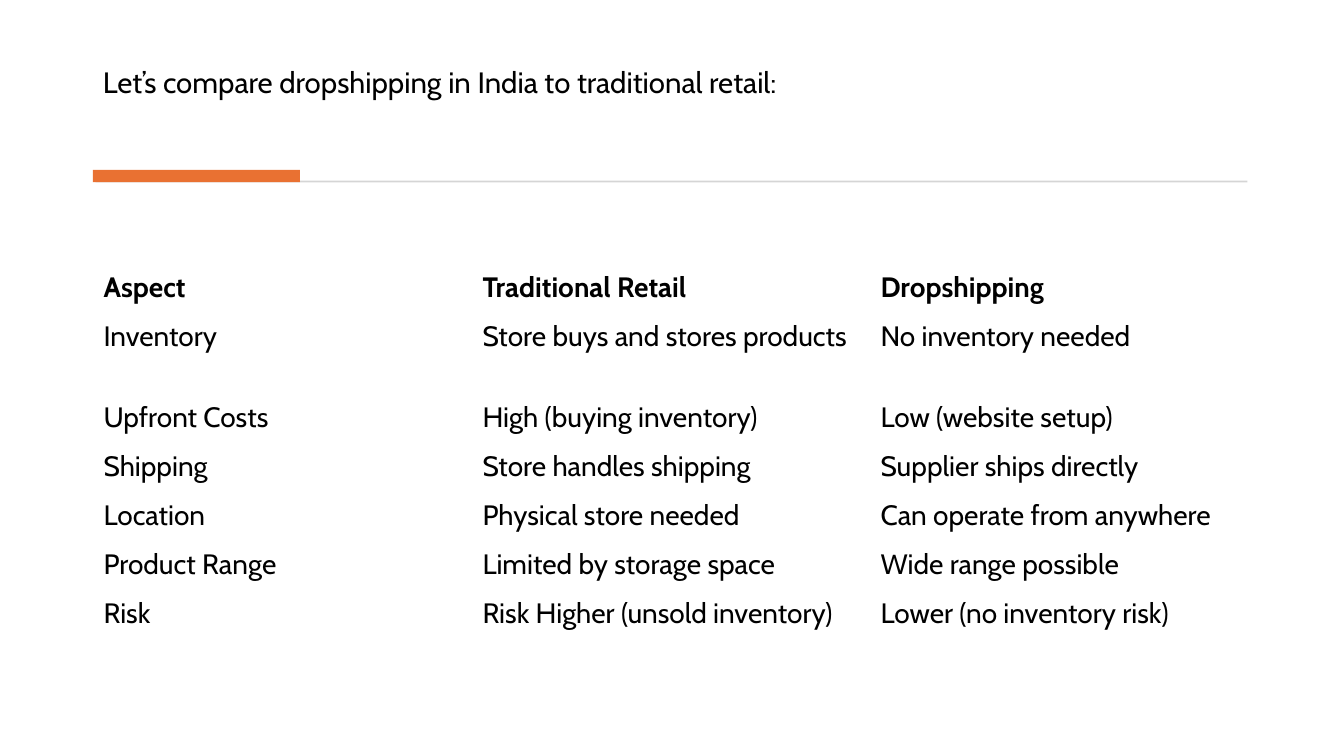
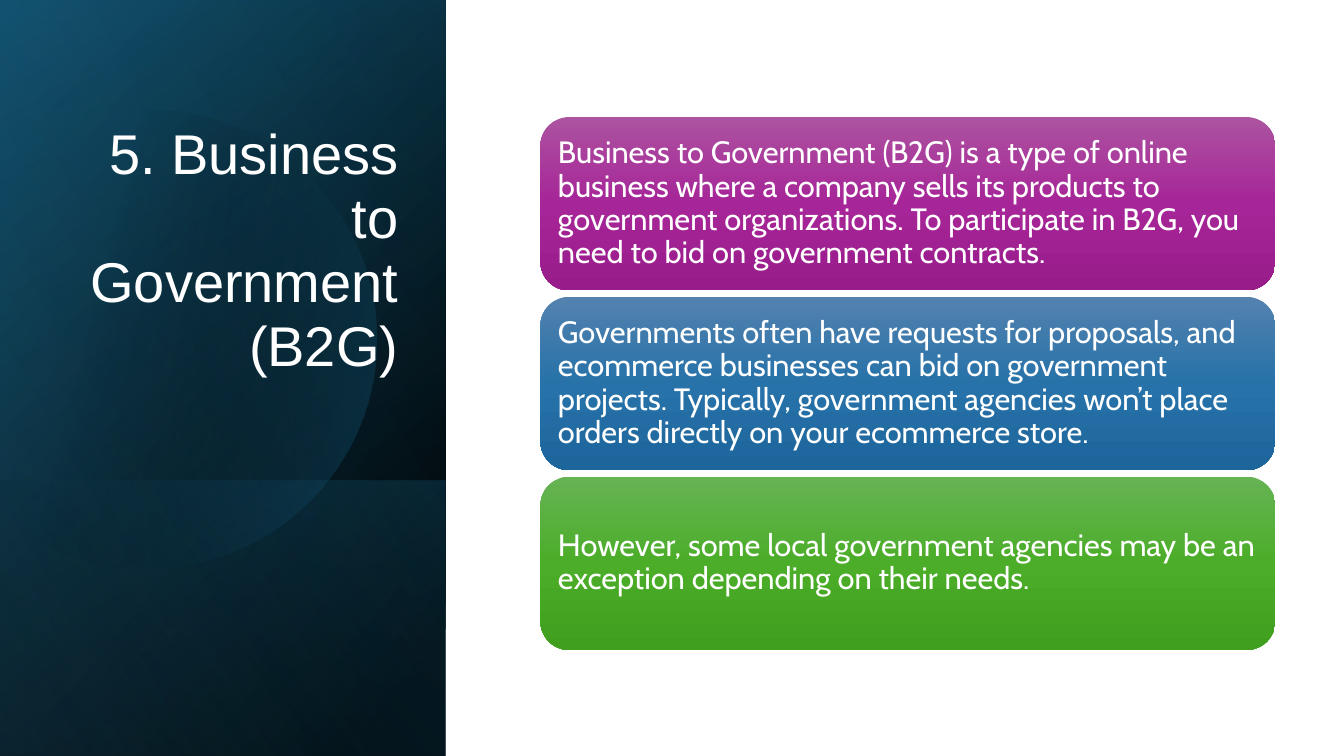
import math
from dataclasses import dataclass

from lxml import etree
from pptx import Presentation
from pptx.dml.color import RGBColor
from pptx.enum.shapes import MSO_SHAPE
from pptx.enum.text import MSO_ANCHOR, MSO_AUTO_SIZE, PP_ALIGN
from pptx.oxml.ns import qn
from pptx.util import Cm, Pt

RECTANGLE = MSO_SHAPE.RECTANGLE
ROUNDED = MSO_SHAPE.ROUNDED_RECTANGLE
MIDDLE, BOTTOM = MSO_ANCHOR.MIDDLE, MSO_ANCHOR.BOTTOM
LEFT, RIGHT = PP_ALIGN.LEFT, PP_ALIGN.RIGHT
NO_AUTOFIT = MSO_AUTO_SIZE.NONE
TITLE_ONLY = 5


@dataclass(frozen=True)
class Theme:
    body_font: str = "Cabin"
    display_font: str = "Arial"
    text: str = "000000"
    light: str = "FFFFFF"
    rule: str = "D5D5D5"
    accent: str = "E97132"
    deep: str = "104862"
    teal: str = "156082"
    sky: str = "46B1E1"
    black: str = "000000"
    lead_size: float = 21
    table_size: float = 20
    card_size: float = 22
    display_size: float = 40


THEME = Theme()


@dataclass(frozen=True)
class Box:
    left: float
    top: float
    width: float
    height: float

    def lengths(self) -> tuple:
        return Cm(self.left), Cm(self.top), Cm(self.width), Cm(self.height)


@dataclass(frozen=True)
class Stop:
    position: int
    color: str
    opacity: int = 100


@dataclass(frozen=True)
class Gradient:
    angle: int
    stops: tuple[Stop, ...]


@dataclass(frozen=True)
class PanelLayer:
    box: Box
    gradient: Gradient


@dataclass(frozen=True)
class TextStyle:
    font: str
    size: float
    color: str
    bold: bool = False
    align: int = LEFT
    spacing: float = 1.0


@dataclass(frozen=True)
class Card:
    text: str
    colors: tuple[str, str, str]


SLIDE_WIDTH, SLIDE_HEIGHT = 33.87, 19.05
LEAD_STYLE = TextStyle(THEME.body_font, THEME.lead_size, THEME.text, spacing=0.9)
DISPLAY_STYLE = TextStyle(THEME.display_font, THEME.display_size, THEME.light,
                          align=RIGHT, spacing=0.95)
HEADER_STYLE = TextStyle(THEME.body_font, THEME.table_size, THEME.text, bold=True)
CELL_STYLE = TextStyle(THEME.body_font, THEME.table_size, THEME.text)
CARD_STYLE = TextStyle(THEME.body_font, THEME.card_size, THEME.light, spacing=0.9)

COMPARISON = (
    ("Aspect", "Traditional Retail", "Dropshipping"),
    ("Inventory", "Store buys and stores products", "No inventory needed"),
    ("Upfront Costs", "High (buying inventory)", "Low (website setup)"),
    ("Shipping", "Store handles shipping", "Supplier ships directly"),
    ("Location", "Physical store needed", "Can operate from anywhere"),
    ("Product Range", "Limited by storage space", "Wide range possible"),
    ("Risk", "Risk Higher (unsold inventory)", "Lower (no inventory risk)"),
)
COLUMN_WIDTHS = (9.55, 10.03, 9.63)
ROW_HEIGHT, INVENTORY_ROW_HEIGHT = 1.23, 2.06

PANEL = Box(0, 0, 11.23, SLIDE_HEIGHT)
PANEL_FOOT = Box(0, 12.1, PANEL.width, SLIDE_HEIGHT - 12.1)
LAYERS_BELOW_DISC = (
    PanelLayer(PANEL, Gradient(220, (Stop(8, THEME.black), Stop(100, THEME.deep)))),
    PanelLayer(PANEL, Gradient(240, (Stop(0, THEME.black, 0), Stop(99, THEME.teal, 46)))),
    PanelLayer(PANEL_FOOT, Gradient(140, (Stop(2, THEME.teal, 29),
                                          Stop(100, THEME.black, 30)))),
)
DISC_GRADIENT = Gradient(14, (Stop(29, THEME.black, 0), Stop(100, THEME.teal, 43)))
LAYER_ABOVE_DISC = PanelLayer(PANEL, Gradient(150, (Stop(0, THEME.black, 0),
                                                    Stop(99, THEME.sky, 11))))
DISC_X, DISC_Y, DISC_RADIUS = 3.7, 8.55, 5.78

CARDS = (
    Card("Business to Government (B2G) is a type of online business where a company "
         "sells its products to government organizations. To participate in B2G, you "
         "need to bid on government contracts.", ("AC53A0", "A62598", "991C8B")),
    Card("Governments often have requests for proposals, and ecommerce businesses can "
         "bid on government projects. Typically, government agencies won’t place orders "
         "directly on your ecommerce store.", ("5382AF", "2772A9", "1D669C")),
    Card("However, some local government agencies may be an exception depending on "
         "their needs.", ("66B354", "4BAD28", "409F1E")),
)
FIRST_CARD = Box(13.62, 2.95, 18.52, 4.37)
CARD_PITCH = 4.53


def write_text(frame, text: str, style: TextStyle) -> None:
    paragraph = frame.paragraphs[0]
    paragraph.alignment = style.align
    paragraph.line_spacing = style.spacing
    run = paragraph.add_run()
    run.text = text
    run.font.name = style.font
    run.font.size = Pt(style.size)
    run.font.bold = style.bold
    run.font.color.rgb = RGBColor.from_string(style.color)


def set_title(slide, box: Box, text: str, style: TextStyle, anchor) -> None:
    title = slide.shapes.title
    title.left, title.top, title.width, title.height = box.lengths()
    frame = title.text_frame
    frame.word_wrap = True
    frame.auto_size = NO_AUTOFIT
    frame.vertical_anchor = anchor
    write_text(frame, text, style)
    title.element.getparent().append(title.element)


def make_plain(shape) -> None:
    shape.shadow.inherit = False
    shape.line.fill.background()


def add_plain_shape(slide, kind, box: Box):
    shape = slide.shapes.add_shape(kind, *box.lengths())
    make_plain(shape)
    return shape


def add_bar(slide, box: Box, color: str) -> None:
    bar = add_plain_shape(slide, RECTANGLE, box)
    bar.fill.solid()
    bar.fill.fore_color.rgb = RGBColor.from_string(color)


def apply_gradient(shape, gradient: Gradient) -> None:
    shape.fill.background()
    properties = shape.element.spPr
    blank_fill = properties.find(qn("a:noFill"))
    fill = etree.Element(qn("a:gradFill"), rotWithShape="1")
    stop_list = etree.SubElement(fill, qn("a:gsLst"))
    for stop in gradient.stops:
        entry = etree.SubElement(stop_list, qn("a:gs"), pos=str(stop.position * 1000))
        color = etree.SubElement(entry, qn("a:srgbClr"), val=stop.color)
        if stop.opacity < 100:
            etree.SubElement(color, qn("a:alpha"), val=str(stop.opacity * 1000))
    etree.SubElement(fill, qn("a:lin"), ang=str(gradient.angle * 60000), scaled="0")
    properties.replace(blank_fill, fill)


def add_layer(slide, layer: PanelLayer) -> None:
    apply_gradient(add_plain_shape(slide, RECTANGLE, layer.box), layer.gradient)


def add_disc(slide) -> None:
    edge_angle = math.acos(-DISC_X / DISC_RADIUS)
    steps = 120
    angles = [edge_angle * (2 * step / steps - 1) for step in range(steps + 1)]
    outline = [(Cm(DISC_X + DISC_RADIUS * math.cos(angle)),
                Cm(DISC_Y + DISC_RADIUS * math.sin(angle))) for angle in angles]
    builder = slide.shapes.build_freeform(*outline[0])
    builder.add_line_segments(outline[1:], close=True)
    disc = builder.convert_to_shape()
    make_plain(disc)
    apply_gradient(disc, DISC_GRADIENT)


def add_card(slide, card: Card, box: Box) -> None:
    shape = add_plain_shape(slide, ROUNDED, box)
    stops = tuple(Stop(50 * index, color) for index, color in enumerate(card.colors))
    apply_gradient(shape, Gradient(90, stops))
    frame = shape.text_frame
    frame.word_wrap = True
    frame.vertical_anchor = MIDDLE
    frame.margin_left = frame.margin_right = Cm(0.23)
    frame.margin_top = frame.margin_bottom = Cm(0.23)
    write_text(frame, card.text, CARD_STYLE)


def add_comparison_table(slide) -> None:
    heights = [ROW_HEIGHT] * len(COMPARISON)
    heights[1] = INVENTORY_ROW_HEIGHT
    box = Box(2.34, 6.68, sum(COLUMN_WIDTHS), sum(heights))
    table = slide.shapes.add_table(len(COMPARISON), len(COLUMN_WIDTHS),
                                   *box.lengths()).table
    table.first_row = table.horz_banding = False
    for column, width in zip(table.columns, COLUMN_WIDTHS):
        column.width = Cm(width)
    for row_index, (row, height) in enumerate(zip(table.rows, heights)):
        row.height = Cm(height)
        style = CELL_STYLE if row_index else HEADER_STYLE
        for cell, text in zip(row.cells, COMPARISON[row_index]):
            cell.fill.solid()
            cell.fill.fore_color.rgb = RGBColor.from_string(THEME.light)
            cell.margin_left = cell.margin_right = Cm(0.27)
            cell.margin_top = cell.margin_bottom = Cm(0.13)
            write_text(cell.text_frame, text, style)


def build_comparison_slide(slide) -> None:
    set_title(slide, Box(2.34, 0.71, 29.18, 2.82),
              "Let’s compare dropshipping in India to traditional retail:",
              LEAD_STYLE, MIDDLE)
    add_bar(slide, Box(2.41, 4.55, 29.03, 0.05), THEME.rule)
    add_bar(slide, Box(2.34, 4.28, 5.22, 0.31), THEME.accent)
    add_comparison_table(slide)


def build_government_slide(slide) -> None:
    for layer in LAYERS_BELOW_DISC:
        add_layer(slide, layer)
    add_disc(slide)
    add_layer(slide, LAYER_ABOVE_DISC)
    set_title(slide, Box(1.63, 3.2, 8.66, 6.48),
              "5. Business to Government (B2G)", DISPLAY_STYLE, BOTTOM)
    for index, card in enumerate(CARDS):
        top = FIRST_CARD.top + index * CARD_PITCH
        add_card(slide, card, Box(FIRST_CARD.left, top, FIRST_CARD.width,
                                  FIRST_CARD.height))


def main() -> None:
    presentation = Presentation()
    presentation.slide_width = Cm(SLIDE_WIDTH)
    presentation.slide_height = Cm(SLIDE_HEIGHT)
    layout = presentation.slide_layouts[TITLE_ONLY]
    for build in (build_comparison_slide, build_government_slide):
        build(presentation.slides.add_slide(layout))
    presentation.save("out.pptx")


if __name__ == "__main__":
    main()
